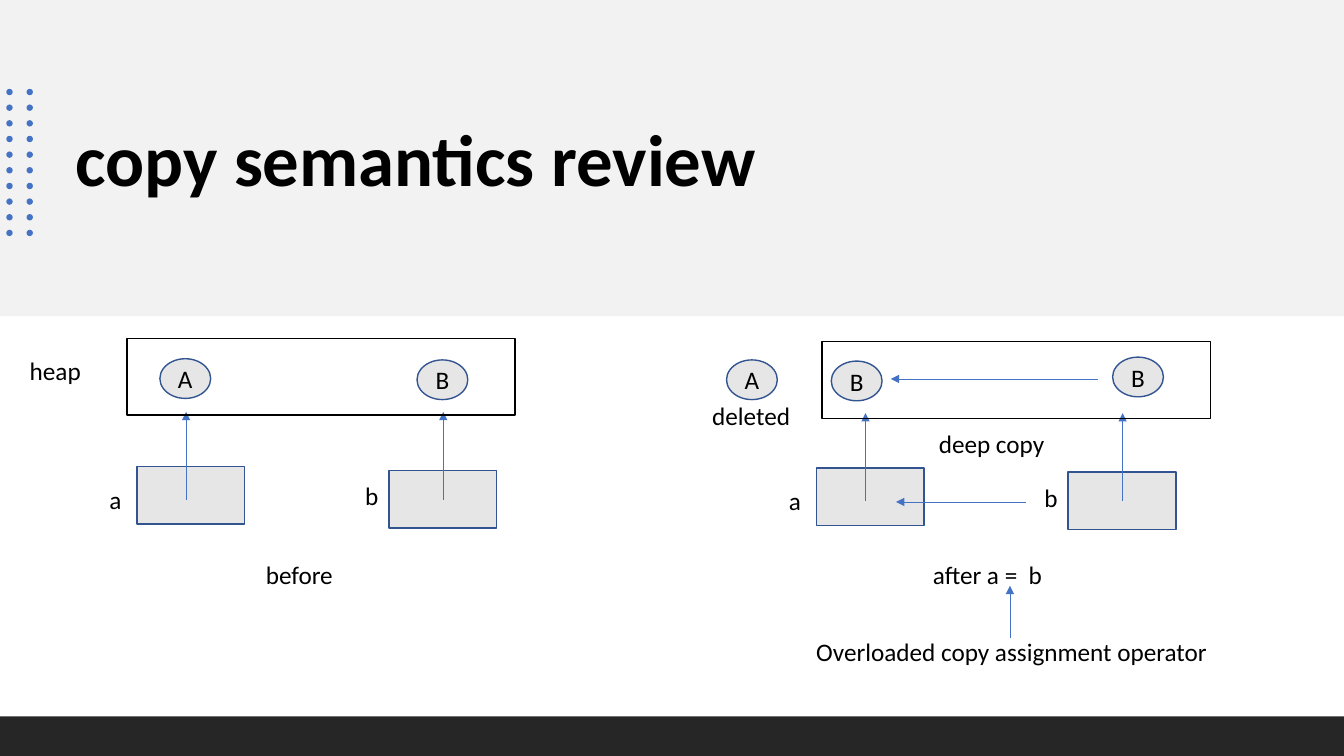
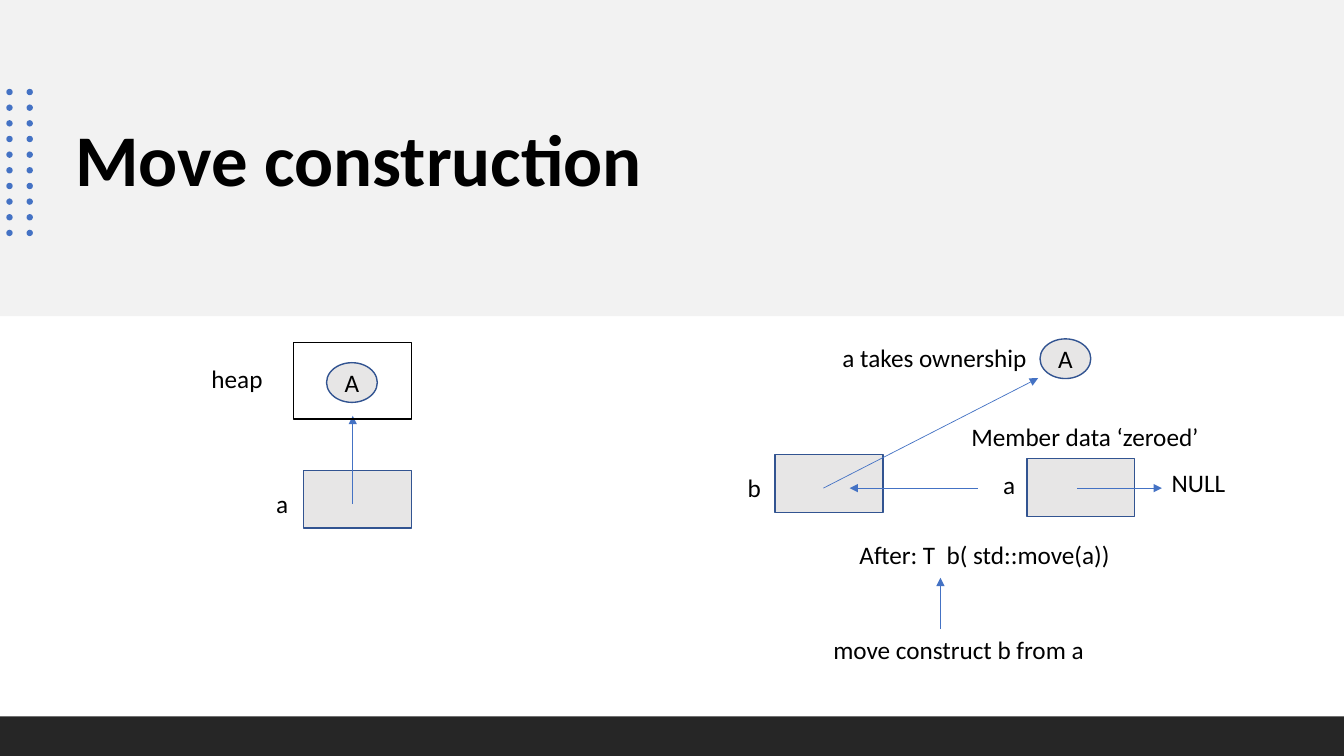
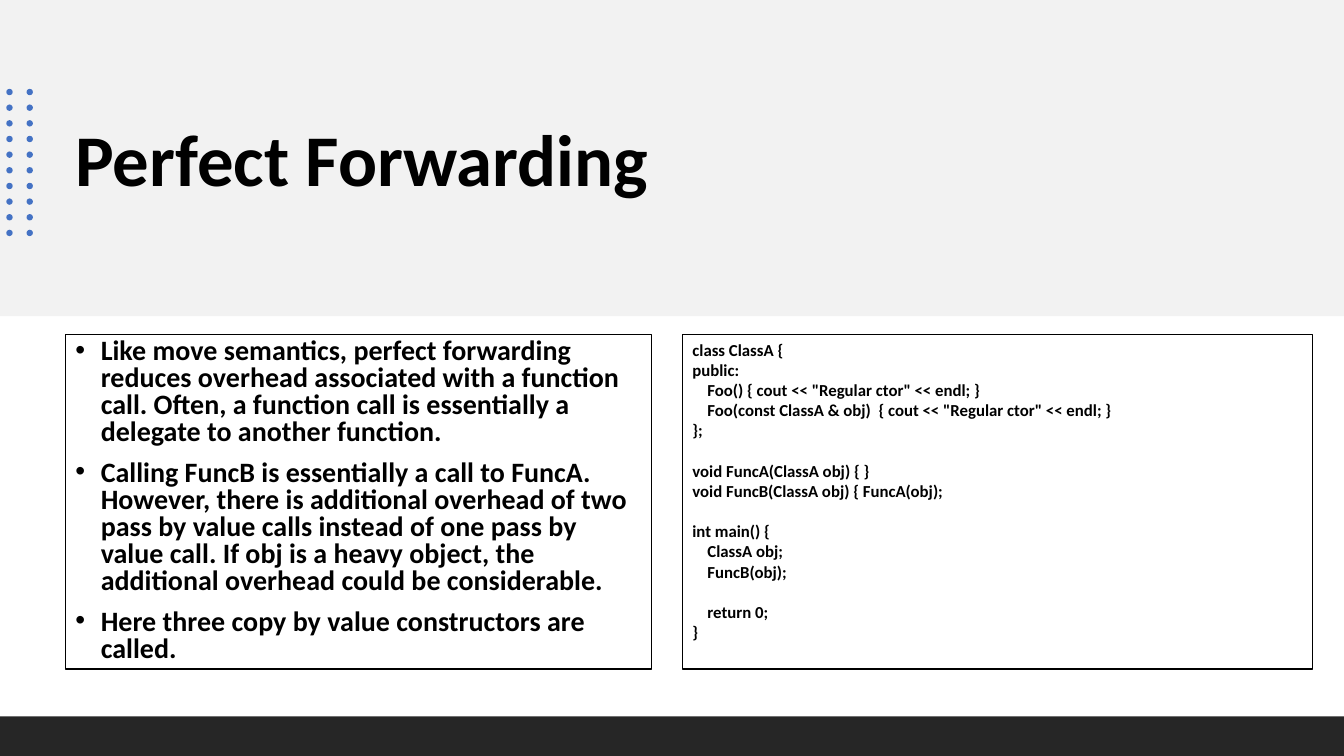
from dataclasses import dataclass

from lxml.etree import SubElement
from pptx import Presentation
from pptx.dml.color import RGBColor
from pptx.enum.shapes import MSO_CONNECTOR, MSO_SHAPE
from pptx.enum.text import MSO_ANCHOR, PP_ALIGN
from pptx.oxml.ns import qn
from pptx.slide import Slide
from pptx.util import Cm, Pt

COLORS = {
    "band": "F2F2F2",
    "footer": "262626",
    "accent": "4472C4",
    "node": "E7E6E6",
    "node_line": "325491",
    "ink": "000000",
}
FONT = "Calibri"
SLIDE_WIDTH, SLIDE_HEIGHT = 33.87, 19.05
CELL_WIDTH, CELL_HEIGHT = 2.72, 1.45
NODE_WIDTH, NODE_HEIGHT = 1.28, 1.0
LABEL_HEIGHT = 1.02
SECOND_CELL = (6.35, 0.1)
CODE_LINE = 14.4
CODE_INDENT = 0.38

BULLETS = [
    "Like move semantics, perfect forwarding reduces overhead associated with "
    "a function call. Often, a function call is essentially a delegate to another function.",
    "Calling FuncB is essentially a call to FuncA.  However, there is additional "
    "overhead of two pass by value calls instead of one pass by value call. "
    "If obj is a heavy object, the additional overhead could be considerable.",
    "Here three copy by value constructors are called.",
]
CODE_BLOCKS = [
    [
        (0, "class ClassA {"),
        (0, "public:"),
        (1, 'Foo() { cout << "Regular ctor" << endl; }'),
        (1, 'Foo(const ClassA & obj)  { cout << "Regular ctor" << endl; }'),
        (0, "};"),
    ],
    [
        (0, "void FuncA(ClassA obj) { }"),
        (0, "void FuncB(ClassA obj) { FuncA(obj);"),
    ],
    [
        (0, "int main() {"),
        (1, "ClassA obj;"),
        (1, "FuncB(obj);"),
    ],
    [
        (1, "return 0;"),
        (0, "}"),
    ],
]


def rgb(name):
    """Return the named colour."""
    return RGBColor.from_string(COLORS[name])


def style_text(paragraph, size, bold=False):
    """Set the shared font on a paragraph."""
    paragraph.font.name = FONT
    paragraph.font.size = Pt(size)
    paragraph.font.bold = bold
    paragraph.font.color.rgb = rgb("ink")


def add_figure(shapes, kind, box, fill=None, line=None, weight=1):
    """Add a flat preset shape with optional fill and outline."""
    figure = shapes.add_shape(kind, *map(Cm, box))
    figure.shadow.inherit = False
    if fill:
        figure.fill.solid()
        figure.fill.fore_color.rgb = rgb(fill)
    else:
        figure.fill.background()
    if line:
        figure.line.color.rgb = rgb(line)
        figure.line.width = Pt(weight)
    else:
        figure.line.fill.background()
    return figure


@dataclass
class Diagram:
    """A memory diagram whose origin is the corner of its first variable."""

    slide: Slide
    left: float
    top: float

    def figure(self, kind, x, y, width, height, fill=None, line="node_line"):
        """Add an outlined shape at an offset from the origin."""
        box = (self.left + x, self.top + y, width, height)
        return add_figure(self.slide.shapes, kind, box, fill, line)

    def heap(self, x, y, width):
        """Outline the heap."""
        self.figure(MSO_SHAPE.RECTANGLE, x, y, width, 1.93, line="ink")

    def resource(self, name, x, y):
        """Add an oval that stands for an object on the heap."""
        oval = self.figure(MSO_SHAPE.OVAL, x, y, NODE_WIDTH, NODE_HEIGHT, "node")
        oval.text_frame.vertical_anchor = MSO_ANCHOR.MIDDLE
        paragraph = oval.text_frame.paragraphs[0]
        paragraph.text = name
        paragraph.alignment = PP_ALIGN.CENTER
        style_text(paragraph, 18)

    def label(self, wording, x, y, width, wrap=False):
        """Add a line of text."""
        box = (self.left + x, self.top + y, width, LABEL_HEIGHT)
        caption = self.slide.shapes.add_textbox(*map(Cm, box))
        caption.text_frame.word_wrap = wrap
        paragraph = caption.text_frame.paragraphs[0]
        paragraph.text = wording
        style_text(paragraph, 18)

    def arrow(self, x1, y1, x2, y2):
        """Add an arrow that points to its second end."""
        ends = (self.left + x1, self.top + y1, self.left + x2, self.top + y2)
        connector = self.slide.shapes.add_connector(MSO_CONNECTOR.STRAIGHT, *map(Cm, ends))
        connector.line.color.rgb = rgb("accent")
        connector.line.width = Pt(0.5)
        properties = connector._element.spPr
        SubElement(properties.find(qn("a:ln")), qn("a:tailEnd"), type="triangle")
        SubElement(properties, qn("a:effectLst"))

    def variable(self, name, x=0, y=0, label_x=-0.94, label_y=0.32):
        """Add a variable's cell with its name on the left."""
        self.figure(MSO_SHAPE.RECTANGLE, x, y, CELL_WIDTH, CELL_HEIGHT, "node")
        self.label(name, x + label_x, y + label_y, 0.84)

    def second_variable(self, name):
        """Add the variable that stands to the right of the first."""
        self.variable(name, *SECOND_CELL, label_x=-0.85, label_y=0.13)

    def pointer(self, x):
        """Point from a variable up to the heap."""
        self.arrow(x, 0.84, x, -1.38)

    def pointing_pair(self):
        """Add variables a and b, each pointing to the heap."""
        self.variable("a")
        self.second_variable("b")
        for x in (1.24, 7.72):
            self.pointer(x)


def add_frame(presentation, heading):
    """Add a slide with the title band, dots and footer."""
    slide = presentation.slides.add_slide(presentation.slide_layouts[6])
    add_figure(slide.shapes, MSO_SHAPE.RECTANGLE, (0, 0, SLIDE_WIDTH, 7.97), "band")
    add_figure(slide.shapes, MSO_SHAPE.RECTANGLE, (0, 18.05, SLIDE_WIDTH, SLIDE_HEIGHT - 18.05), "footer")
    add_dots(slide, 0.16, 2.24)
    title = slide.shapes.add_textbox(Cm(1.65), Cm(1.47), Cm(30.56), Cm(5.26))
    title.text_frame.word_wrap = True
    title.text_frame.vertical_anchor = MSO_ANCHOR.MIDDLE
    paragraph = title.text_frame.paragraphs[0]
    paragraph.text = heading
    paragraph.line_spacing = 0.9
    style_text(paragraph, 52, bold=True)
    return slide


def add_dots(slide, left, top, columns=2, rows=10):
    """Add the grouped grid of accent dots."""
    dots = slide.shapes.add_group_shape()
    row_pitch = 3.55 / (rows - 1)
    for column in range(columns):
        for row in range(rows):
            box = (left + column * 0.51, top + row * row_pitch, 0.16, 0.16)
            add_figure(dots.shapes, MSO_SHAPE.OVAL, box, "accent")


def draw_before_copy(slide, left, top):
    """Show two variables that own separate objects."""
    before = Diagram(slide, left, top)
    before.pointing_pair()
    before.heap(-0.25, -3.23, 9.78)
    before.resource("A", 0.58, -2.72)
    before.resource("B", 7.06, -2.69)
    before.label("heap", -2.95, -2.92, 1.83)
    before.label("before", 3, 2.21, 2.51, wrap=True)


def draw_after_copy(slide, left, top):
    """Show the deep copy made by assignment."""
    after = Diagram(slide, left, top)
    after.pointing_pair()
    after.heap(0.15, -3.18, 9.78)
    after.resource("A", -2.26, -2.72)
    after.resource("B", 0.38, -2.69)
    after.resource("B", 7.47, -2.79)
    after.arrow(7.09, -2.24, 1.88, -2.24)
    after.arrow(5.28, 0.86, 2.01, 0.86)
    after.label("deleted", -2.87, -1.83, 2.51)
    after.label("deep copy", 2.84, -1.12, 3.2)
    after.label("after a =  b", 2.69, 2.18, 4.39, wrap=True)
    after.arrow(4.88, 4.29, 4.88, 2.97)
    after.label("Overloaded copy assignment operator", -0.25, 4.11, 10.57)


def draw_before_move(slide, left, top):
    """Show a variable that owns one object."""
    before = Diagram(slide, left, top)
    before.variable("a")
    before.pointer(1.24)
    before.heap(-0.25, -3.23, 2.97)
    before.resource("A", 0.58, -2.72)
    before.label("heap", -2.57, -2.84, 1.83)


def draw_after_move(slide, left, top):
    """Show ownership passed on by move construction."""
    after = Diagram(slide, left, top)
    after.variable("b")
    after.second_variable("a")
    after.resource("A", 6.68, -2.92)
    after.arrow(1.22, 0.84, 6.63, -1.93)
    after.arrow(7.62, 0.84, 9.75, 0.84)
    after.arrow(5.11, 0.84, 1.88, 0.84)
    after.label("a takes ownership", 1.45, -2.97, 5.38, wrap=True)
    after.label("Member data ‘zeroed’", 4.7, -0.97, 6.3)
    after.label("NULL", 9.75, 0.2, 1.88)
    after.label("After: T  b( std::move(a))", 1.88, 2.01, 6.86)
    after.arrow(4.17, 4.39, 4.17, 3.1)
    after.label("move construct b from a", 1.22, 4.39, 10.41, wrap=True)


def add_panel(slide, box, lines, size):
    """Add an outlined panel with one paragraph a line and return the paragraphs."""
    panel = add_figure(slide.shapes, MSO_SHAPE.RECTANGLE, box, line="ink", weight=0.75)
    frame = panel.text_frame
    frame.word_wrap = True
    frame.vertical_anchor = MSO_ANCHOR.TOP
    frame.text = "\n".join(lines)
    for paragraph in frame.paragraphs:
        paragraph.alignment = PP_ALIGN.LEFT
        style_text(paragraph, size, bold=True)
    return frame.paragraphs


def add_bullet_panel(slide, box):
    """Add the bulleted explanation."""
    for paragraph in add_panel(slide, box, BULLETS, 20):
        paragraph.line_spacing = 0.8
        paragraph.space_before = Pt(10)
        properties = paragraph._p.get_or_add_pPr()
        properties.set("marL", str(Cm(0.64)))
        properties.set("indent", str(-Cm(0.64)))
        SubElement(properties, qn("a:buFont"), typeface="Arial")
        SubElement(properties, qn("a:buChar"), char="•")
        properties.append(properties.find(qn("a:defRPr")))


def add_code_panel(slide, box):
    """Add the code, with a line's gap between blocks."""
    lines = [
        (depth, code, block > 0 and row == 0)
        for block, rows in enumerate(CODE_BLOCKS)
        for row, (depth, code) in enumerate(rows)
    ]
    paragraphs = add_panel(slide, box, [code for _, code, _ in lines], 12)
    for paragraph, (depth, _, opens_block) in zip(paragraphs, lines):
        paragraph._p.get_or_add_pPr().set("marL", str(Cm(CODE_INDENT * depth)))
        if opens_block:
            paragraph.space_before = Pt(CODE_LINE)


def main():
    """Build the three slides."""
    presentation = Presentation()
    presentation.slide_width = Cm(SLIDE_WIDTH)
    presentation.slide_height = Cm(SLIDE_HEIGHT)

    copying = add_frame(presentation, "copy semantics review")
    draw_before_copy(copying, 3.45, 11.76)
    draw_after_copy(copying, 20.57, 11.79)

    moving = add_frame(presentation, "Move construction")
    draw_before_move(moving, 7.65, 11.86)
    draw_after_move(moving, 19.53, 11.46)

    forwarding = add_frame(presentation, "Perfect Forwarding")
    add_bullet_panel(forwarding, (1.65, 8.43, 14.76, 8.43))
    add_code_panel(forwarding, (17.2, 8.43, 15.88, 8.43))

    presentation.save("out.pptx")


if __name__ == "__main__":
    main()
